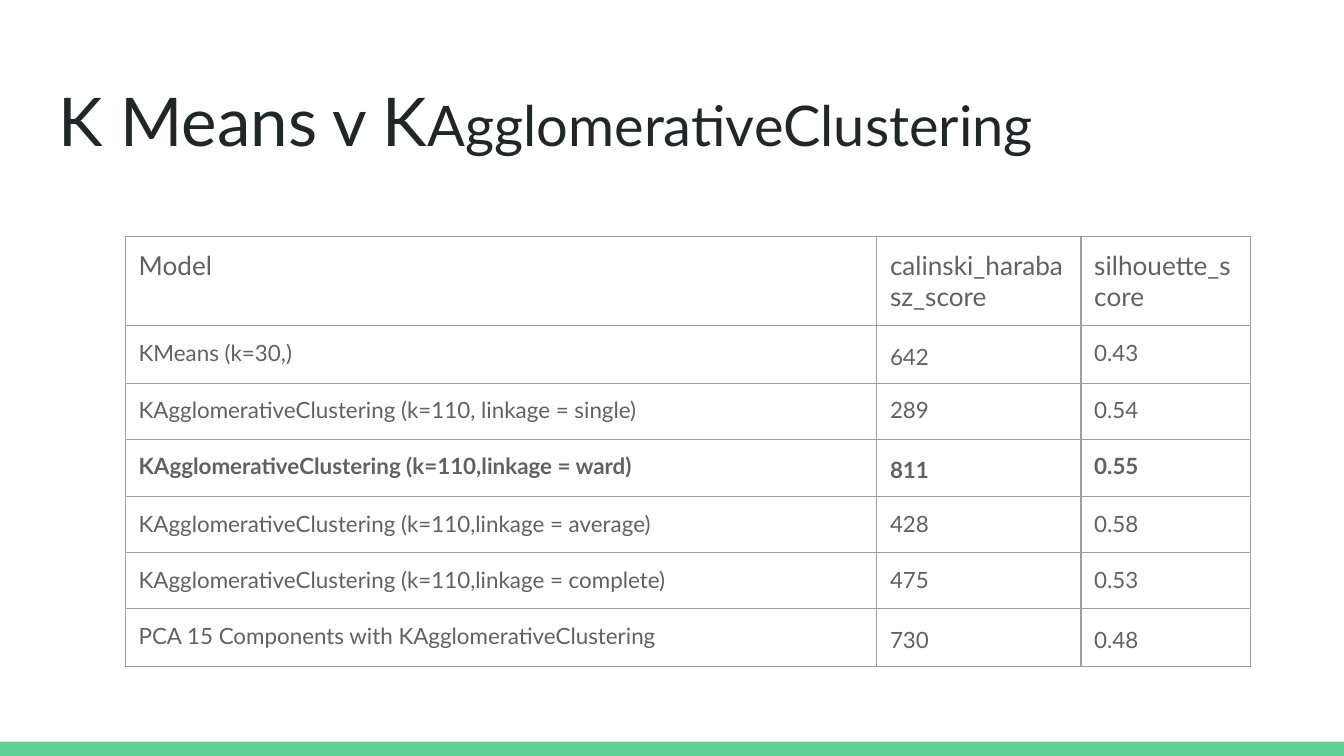
from lxml import etree
from pptx import Presentation
from pptx.dml.color import RGBColor
from pptx.enum import shapes, text
from pptx.oxml import ns
from pptx.util import Cm, Pt

GREEN = RGBColor(0x63, 0xD2, 0x97)
GRAY = RGBColor(0x61, 0x61, 0x61)
DARK = RGBColor(0x20, 0x27, 0x29)
LINE = RGBColor(0x9E, 0x9E, 0x9E)
FONT = "Lato"
PAD = Cm(0.25)
WIDTHS = (14.2, 3.86, 3.2)
HEIGHT = 1.06
BEST = 3
LOOSE = {(1, 1), (3, 1), (6, 1), (6, 2)}
ROWS = (
    ("Model", "calinski_harabasz_score", "silhouette_score"),
    ("KMeans (k=30,)", "642", "0.43"),
    ("KAgglomerativeClustering (k=110, linkage = single)", "289", "0.54"),
    ("KAgglomerativeClustering (k=110,linkage = ward)", "811", "0.55"),
    ("KAgglomerativeClustering (k=110,linkage = average)", "428", "0.58"),
    ("KAgglomerativeClustering (k=110,linkage = complete)", "475", "0.53"),
    ("PCA 15 Components with KAgglomerativeClustering", "730", "0.48"),
)


def style(font, size, color, bold=False):
    font.name = FONT
    font.size = Pt(size)
    font.color.rgb = color
    font.bold = bold


def pad(box):
    box.margin_left = box.margin_right = PAD
    box.margin_top = box.margin_bottom = PAD


def add_bar(slide):
    bar = slide.shapes.add_shape(
        shapes.MSO_SHAPE.RECTANGLE, 0, Cm(14.02), Cm(25.4), Cm(0.27))
    bar.shadow.inherit = False
    bar.fill.solid()
    bar.fill.fore_color.rgb = GREEN
    bar.line.fill.background()


def add_title(slide):
    box = slide.shapes.add_textbox(Cm(0.86), Cm(1.25), Cm(23.67), Cm(1.6))
    frame = box.text_frame
    frame.word_wrap = True
    frame.vertical_anchor = text.MSO_ANCHOR.TOP
    pad(frame)
    para = frame.paragraphs[0]
    for words, size in (("K Means v K", 36), ("AgglomerativeClustering", 30)):
        run = para.add_run()
        run.text = words
        style(run.font, size, DARK)


def add_edges(cell):
    props = cell._tc.get_or_add_tcPr()
    for i, side in enumerate(("a:lnL", "a:lnR", "a:lnT", "a:lnB")):
        edge = etree.Element(ns.qn(side), w=str(Pt(0.75)))
        fill = etree.SubElement(edge, ns.qn("a:solidFill"))
        etree.SubElement(fill, ns.qn("a:srgbClr"), val=str(LINE))
        props.insert(i, edge)


def fill_cell(cell, words, size, bold, loose):
    cell.text = words
    pad(cell)
    cell.fill.background()
    add_edges(cell)
    para = cell.text_frame.paragraphs[0]
    style(para.font, size, GRAY, bold)
    if loose:
        para.line_spacing = 1.15


def add_scores(slide):
    frame = slide.shapes.add_table(
        len(ROWS), len(WIDTHS), Cm(2.37), Cm(4.47),
        Cm(sum(WIDTHS)), Cm(HEIGHT * len(ROWS)))
    table = frame.table
    table.first_row = table.horz_banding = False
    for col, width in zip(table.columns, WIDTHS):
        col.width = Cm(width)
    for r, row in enumerate(ROWS):
        table.rows[r].height = Cm(HEIGHT)
        for c, words in enumerate(row):
            fill_cell(table.cell(r, c), words, 12 if r else 14,
                      r == BEST, (r, c) in LOOSE)


def main():
    deck = Presentation()
    deck.slide_width, deck.slide_height = Cm(25.4), Cm(14.29)
    slide = deck.slides.add_slide(deck.slide_layouts[6])
    add_bar(slide)
    add_scores(slide)
    add_title(slide)
    deck.save("out.pptx")


if __name__ == "__main__":
    main()
